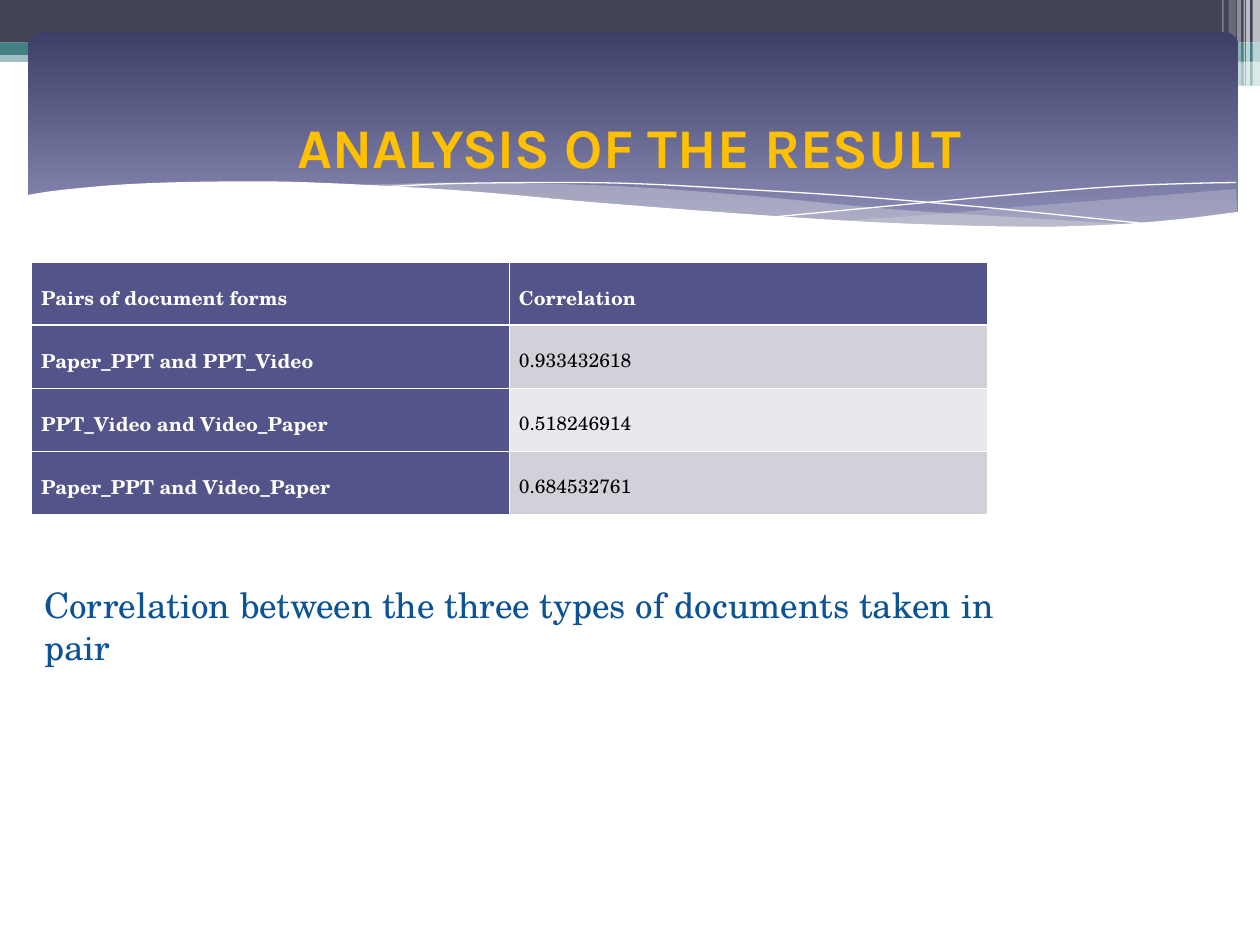
from lxml import etree
from pptx import Presentation, util as u
from pptx.dml.color import RGBColor
from pptx.enum import shapes, text
from pptx.oxml import ns

colours = {"white": "FFFFFF", "black": "000000", "slate": "424456", "teal": "438086",
           "indigo": "53548A", "navy": "3E3F68", "lilac": "9394BE", "silver": "DEDEDE",
           "gold": "FFC000", "blue": "0B5395", "band": "D1D1DA", "pale": "E9E9ED"}
rgb = {name: RGBColor.from_string(value) for name, value in colours.items()}


def paint(shape, colour, opacity=100):
    shape.shadow.inherit = False
    shape.line.fill.background()
    shape.fill.solid()
    shape.fill.fore_color.rgb = rgb[colour]
    if opacity < 100:
        fill_colour = shape.fill._xPr.find(".//" + ns.qn("a:srgbClr"))
        etree.SubElement(fill_colour, ns.qn("a:alpha"), val=str(opacity * 1000))


def smooth(points, steps=5):
    padded = [points[0], *points, points[-1]]
    curve = [points[0]]
    for a, b, c, d in zip(padded, padded[1:], padded[2:], padded[3:]):
        for step in range(1, steps + 1):
            t = step / steps
            curve.append(tuple(
                (2 * q + (r - p) * t + (2 * p - 5 * q + 4 * r - s) * t ** 2
                 + (3 * q - p - 3 * r + s) * t ** 3) / 2
                for p, q, r, s in zip(a, b, c, d)))
    return curve


presentation = Presentation()
presentation.slide_width, presentation.slide_height = u.Cm(25.4), u.Cm(19.05)
slide = presentation.slides.add_slide(presentation.slide_layouts[6])

rectangle, rounded = shapes.MSO_SHAPE.RECTANGLE, shapes.MSO_SHAPE.ROUNDED_RECTANGLE
header_bars = [
    (rectangle, 0, 1.02, 25.4, 0.23, "teal", 50),
    (rectangle, 0, 0, 25.4, 0.86, "slate", 100),
    (rectangle, 0, 0.86, 25.4, 0.25, "teal", 100),
    (rectangle, 15.04, 0.99, 10.36, 0.25, "teal", 100),
    (rectangle, 15.04, 1.22, 10.36, 0.51, "teal", 50),
    (rounded, 15.01, 1.37, 8.51, 0.08, "white", 100),
    (rounded, 20.47, 1.63, 4.45, 0.1, "white", 100),
]
stripes = [(25.25, 0.15, 1.73, 65), (25.12, 0.08, 1.73, 65), (25.07, 0.03, 1.73, 60),
           (24.94, 0.08, 1.73, 40), (24.77, 0.15, 1.63, 20), (24.64, 0.03, 1.63, 30)]
header_bars += [(rectangle, left, 0, width, height, "white", opacity)
                for left, width, height, opacity in stripes]
for kind, left, top, width, height, colour, opacity in header_bars:
    bar = slide.shapes.add_shape(kind, u.Cm(left), u.Cm(top), u.Cm(width), u.Cm(height))
    paint(bar, colour, opacity)

banner = slide.shapes.add_shape(rounded, u.Cm(0.56), u.Cm(0.64), u.Cm(24.41), u.Cm(4.29))
banner.adjustments[0] = 0.07
banner.shadow.inherit = False
banner.line.fill.background()
banner.fill.gradient()
banner.fill.gradient_angle = 270
for stop, colour in zip(banner.fill.gradient_stops, ("navy", "lilac")):
    stop.color.rgb = rgb[colour]

waves = [
    ("silver", 29, [
        [(24.92, 3.81), (22.78, 3.99), (20.57, 4.17), (18.62, 4.34), (16.89, 4.45)],
        [(16.89, 4.45), (18.69, 4.55), (20.57, 4.57), (22.07, 4.56), (23.52, 4.46),
         (24.94, 4.27)]]),
    ("silver", 40, [
        [(7.26, 3.73), (9.19, 3.68), (11.25, 3.71), (13.11, 3.79), (15.27, 3.96),
         (18.01, 4.22), (20.62, 4.39), (22.81, 4.52)],
        [(22.81, 4.52), (21.41, 4.57), (19.43, 4.56), (17.37, 4.47), (14.45, 4.29),
         (11.46, 4.03), (9.22, 3.84), (7.26, 3.73)]]),
    (None, 100, [
        [(7.85, 3.76), (9.22, 3.7), (11.46, 3.68), (13, 3.71), (14.83, 3.81),
         (16.97, 3.94), (19.41, 4.14), (21.23, 4.32), (23.19, 4.52)]]),
    (None, 100, [
        [(15.65, 4.37), (18.39, 4.11), (20.57, 3.91), (22.5, 3.76), (23.95, 3.7),
         (24.92, 3.68)]]),
    ("white", 100, [
        [(0.51, 3.94), (1.24, 3.83), (2.64, 3.71), (4.45, 3.66), (6.32, 3.68),
         (9.27, 3.84), (12.12, 4.09), (15.39, 4.34), (18.06, 4.5), (20.65, 4.57),
         (22.38, 4.53), (23.77, 4.42), (24.97, 4.27)],
        [(24.97, 5.08), (0.51, 5.08)]]),
]
for colour, opacity, edges in waves:
    outline = [(u.Cm(x), u.Cm(y)) for edge in edges for x, y in smooth(edge)]
    builder = slide.shapes.build_freeform(*outline[0])
    builder.add_line_segments(outline[1:], close=colour is not None)
    wave = builder.convert_to_shape()
    if colour:
        paint(wave, colour, opacity)
    else:
        wave.shadow.inherit = False
        wave.fill.background()
        wave.line.color.rgb = rgb["white"]
        wave.line.width = u.Pt(0)

text_boxes = [
    ("ANALYSIS OF THE RESULT", (1.27, 1.47, 22.86, 2.97), "gold",
     text.MSO_ANCHOR.MIDDLE, text.PP_ALIGN.CENTER,
     {"name": "Karla", "size": u.Pt(32), "bold": True}),
    ("Correlation between the three types of documents taken in pair",
     (0.64, 11.63, 20.57, 5.74), "blue", text.MSO_ANCHOR.TOP, text.PP_ALIGN.LEFT,
     {"name": "TeX Gyre Schola", "size": u.Pt(20)}),
]
for words, place, colour, anchor, alignment, formats in text_boxes:
    frame = slide.shapes.add_textbox(*map(u.Cm, place)).text_frame
    frame.word_wrap = True
    frame.vertical_anchor = anchor
    paragraph = frame.paragraphs[0]
    paragraph.text = words
    paragraph.alignment = alignment
    for name, value in formats.items():
        setattr(paragraph.font, name, value)
    paragraph.font.color.rgb = rgb[colour]

rows = [("Pairs of document forms", "Correlation"),
        ("Paper_PPT and PPT_Video", "0.933432618"),
        ("PPT_Video and Video_Paper", "0.518246914"),
        ("Paper_PPT and Video_Paper", "0.684532761")]
table = slide.shapes.add_table(len(rows), 2, u.Cm(0.64), u.Cm(5.28),
                               u.Cm(19.26), u.Cm(5.08)).table
for row_index, row in enumerate(rows):
    table.rows[row_index].height = u.Cm(1.27)
    for column_index, words in enumerate(row):
        heading = row_index == 0 or column_index == 0
        cell = table.cell(row_index, column_index)
        cell.margin_left = cell.margin_right = u.Cm(0.19)
        paragraph = cell.text_frame.paragraphs[0]
        paragraph.text = words
        paragraph.line_spacing = 1.5
        formats = {"name": "TeX Gyre Schola", "size": u.Pt(11), "bold": heading}
        for name, value in formats.items():
            setattr(paragraph.font, name, value)
        paragraph.font.color.rgb = rgb["white" if heading else "black"]
        properties = cell._tc.get_or_add_tcPr()
        thick_side = {0: "B", 1: "T"}.get(row_index)
        for side in "LRTB":
            width = u.Pt(1.5 if side == thick_side else 0.45)
            border = etree.SubElement(properties, ns.qn("a:ln" + side), w=str(width))
            solid = etree.SubElement(border, ns.qn("a:solidFill"))
            etree.SubElement(solid, ns.qn("a:srgbClr"), val=colours["white"])
        cell.fill.solid()
        cell.fill.fore_color.rgb = rgb[
            "indigo" if heading else "band" if row_index % 2 else "pale"]

presentation.save("out.pptx")
